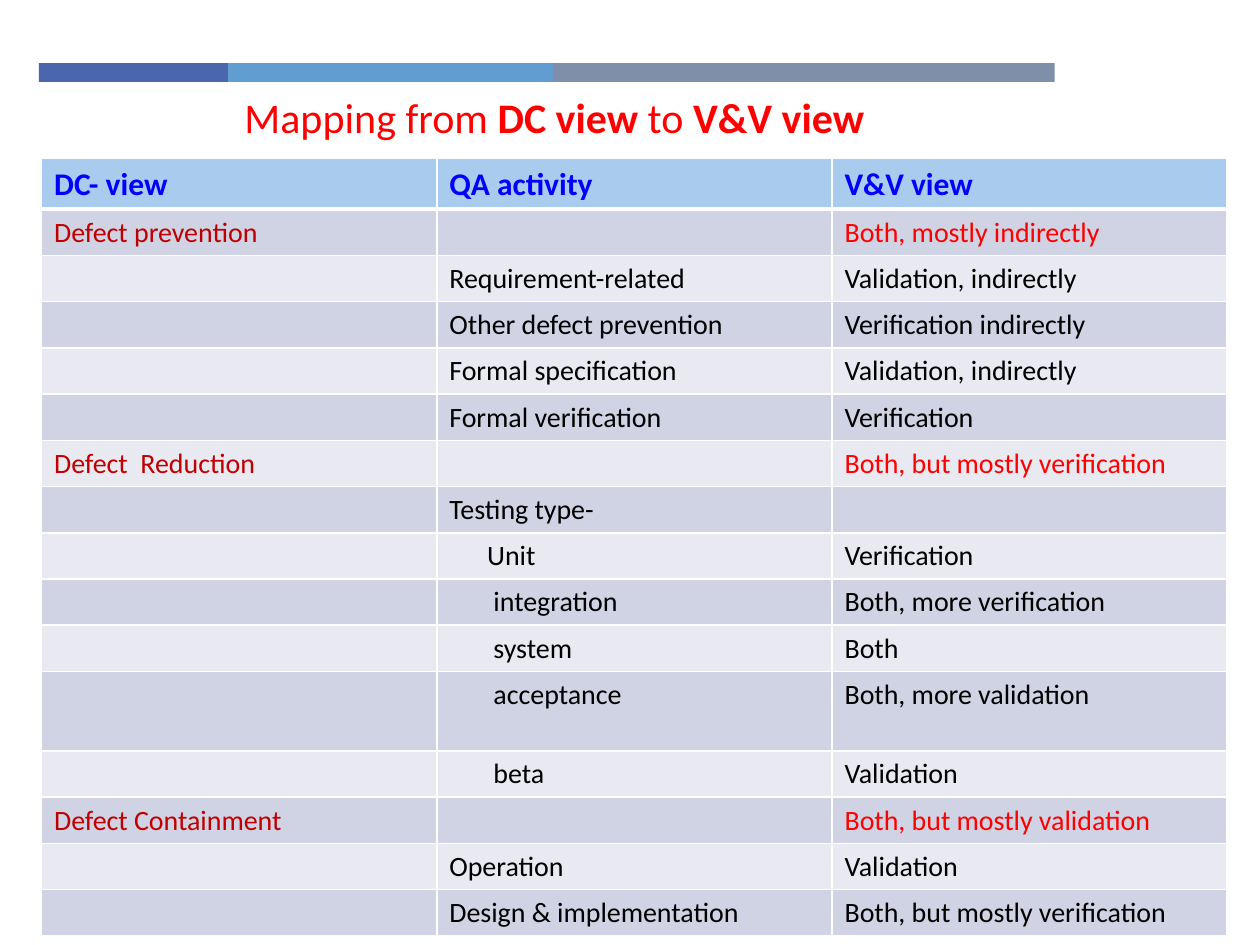
from lxml import etree
from pptx import Presentation
from pptx.dml.color import RGBColor
from pptx.enum.shapes import MSO_SHAPE
from pptx.enum.text import MSO_ANCHOR, PP_ALIGN
from pptx.oxml.ns import qn
from pptx.util import Inches, Pt

RECT = MSO_SHAPE.RECTANGLE
MIDDLE = MSO_ANCHOR.MIDDLE
LEFT = PP_ALIGN.LEFT
FONT = "Calibri"
COLORS = {
    "band1": "4A66AC", "band2": "629DD1", "band3": "7F8FA9",
    "header": "A9CCEE", "odd": "D0D3E3", "even": "E9EAF1",
    "blue": "0000FF", "dark_red": "C00000", "red": "FF0000",
    "black": "000000", "white": "FFFFFF",
}
HEADERS = ["DC- view", "QA activity", "V&V view"]
# A row with a DC view opens a section
ROWS = [
    ("Defect prevention", "", "Both, mostly indirectly"),
    ("", "Requirement-related", "Validation, indirectly"),
    ("", "Other defect prevention", "Verification indirectly"),
    ("", "Formal specification", "Validation, indirectly"),
    ("", "Formal verification", "Verification"),
    ("Defect  Reduction", "", "Both, but mostly verification"),
    ("", "Testing type-", ""),
    ("", "Unit", "Verification"),
    ("", "integration", "Both, more verification"),
    ("", "system", "Both"),
    ("", "acceptance", "Both, more validation"),
    ("", "beta", "Validation"),
    ("Defect Containment", "", "Both, but mostly validation"),
    ("", "Operation", "Validation"),
    ("", "Design & implementation", "Both, but mostly verification"),
]
INDENTS = {"Unit": 0.3, "integration": 0.35, "system": 0.35,
           "acceptance": 0.35, "beta": 0.35}
HEADER_H, TALL_H, TALL_ROW = 0.4, 0.63, 11


def rgb(name):
    return RGBColor.from_string(COLORS[name])


def add_text(p, text, size=16, color="black", bold=False, indent=0):
    if indent:
        pPr = p._p.get_or_add_pPr()
        pPr.set("marL", str(Inches(indent)))
        pPr.set("indent", "0")
    if not text:
        # Keeps an empty cell from growing its row
        end = etree.SubElement(p._p, qn("a:endParaRPr"))
        end.set("sz", str(size * 100))
        return
    r = p.add_run()
    r.text = text
    r.font.name, r.font.size, r.font.bold = FONT, Pt(size), bold
    r.font.color.rgb = rgb(color)


def set_borders(cell, bottom=1):
    tcPr = cell._tc.get_or_add_tcPr()
    widths = {"lnL": 1, "lnR": 1, "lnT": 1, "lnB": bottom}
    for i, (tag, width) in enumerate(widths.items()):
        ln = etree.Element(qn("a:" + tag), w=str(Pt(width)))
        fill = etree.SubElement(ln, qn("a:solidFill"))
        etree.SubElement(fill, qn("a:srgbClr"), val=COLORS["white"])
        tcPr.insert(i, ln)


def add_bands(s, x, y, h):
    for name, w in (("band1", 1.5), ("band2", 2.58), ("band3", 3.98)):
        sp = s.shapes.add_shape(RECT, Inches(x), Inches(y), Inches(w), Inches(h))
        sp.shadow.inherit = False
        sp.fill.solid()
        sp.fill.fore_color.rgb = rgb(name)
        sp.line.fill.background()
        x += w


def add_title(s, x, y, w, h):
    sp = s.shapes.title
    sp.left, sp.top, sp.width, sp.height = map(Inches, (x, y, w, h))
    tf = sp.text_frame
    tf.word_wrap = False
    tf.vertical_anchor = MIDDLE
    p = tf.paragraphs[0]
    p.alignment = LEFT
    parts = ("Mapping from ", "DC view", " to ", "V&V view")
    for i, text in enumerate(parts):
        add_text(p, text, size=24, color="red", bold=i % 2 == 1)


def text_format(row, col, text):
    if row == 0:
        return {"size": 18, "color": "blue", "bold": True}
    if ROWS[row - 1][0]:
        return {"color": "dark_red" if col == 0 else "red"}
    return {"indent": INDENTS.get(text, 0)}


def add_mapping_table(s, x, y, w, h):
    rows = [HEADERS] + ROWS
    frame = s.shapes.add_table(len(rows), len(HEADERS), Inches(x), Inches(y),
                               Inches(w), Inches(h))
    table = frame.table
    table.horz_banding = False
    for column in table.columns:
        column.width = Inches(w / len(HEADERS))
    heights = {0: HEADER_H, TALL_ROW: TALL_H}
    row_h = (h - HEADER_H - TALL_H) / (len(rows) - 2)
    for i, texts in enumerate(rows):
        table.rows[i].height = Inches(heights.get(i, row_h))
        fill = "header" if i == 0 else "odd" if i % 2 else "even"
        for j, text in enumerate(texts):
            cell = table.cell(i, j)
            cell.margin_bottom = Inches(0.04)
            cell.fill.solid()
            cell.fill.fore_color.rgb = rgb(fill)
            set_borders(cell, bottom=3 if i == 0 else 1)
            add_text(cell.text_frame.paragraphs[0], text,
                     **text_format(i, j, text))


prs = Presentation()
prs.slide_width, prs.slide_height = Inches(10), Inches(7.5)
s = prs.slides.add_slide(prs.slide_layouts[5])
add_bands(s, 0.31, 0.5, 0.15)
add_mapping_table(s, 0.33, 1.26, 9.41, 6.17)
add_title(s, 1.84, 0.68, 5.24, 0.5)
prs.save("out.pptx")
